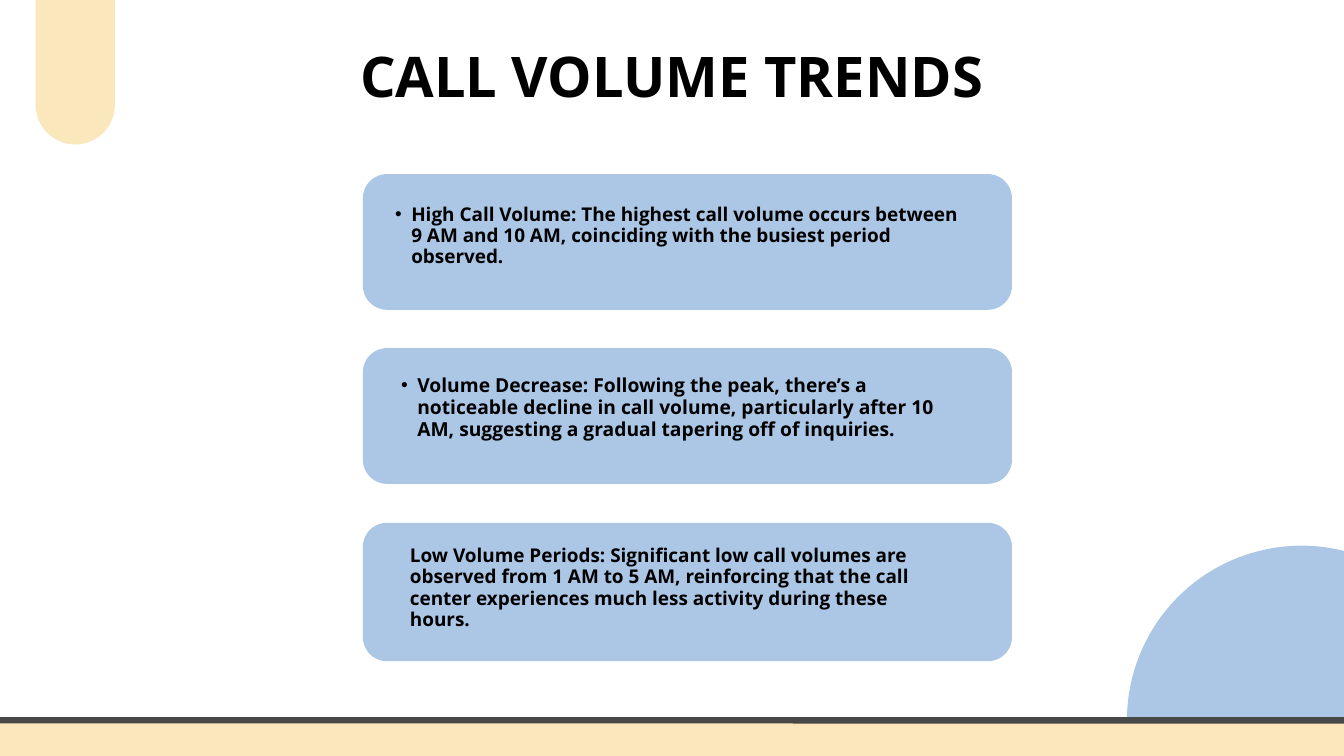
from pptx import Presentation
from pptx.dml.color import RGBColor
from pptx.enum.shapes import MSO_SHAPE
from pptx.enum.text import MSO_AUTO_SIZE, PP_ALIGN
from pptx.util import Inches, Pt
from lxml.etree import SubElement
from pptx.oxml.ns import qn

FONT = "Open Sans"
COLORS = {"blue": "ACC7E6", "cream": "FAE7BC", "line": "494848", "text": "000000"}

TITLE = "CALL VOLUME TRENDS"
# Each card: top, height, text box, size, line spacing, bullet indent, text
CARDS = [
    (2.59, 2.02, (5.64, 3.03, 8.71, 1.26), 20.3, 22.9, 0.48,
     "High Call Volume: The highest call volume occurs between 9 AM and 10 AM, "
     "coinciding with the busiest period observed."),
    (5.18, 2.02, (5.72, 5.58, 8.56, 1.29), 20.6, 23.3, 0.49,
     "Volume Decrease: Following the peak, there’s a noticeable decline in call volume, "
     "particularly after 10 AM, suggesting a gradual tapering off of inquiries."),
    (7.78, 2.06, (6.1, 8.11, 7.8, 1.26), 20.3, 22.9, 0,
     "Low Volume Periods: Significant low call volumes are observed from 1 AM to 5 AM, "
     "reinforcing that the call center experiences much less activity during these hours."),
]
CARD_X, CARD_W, CARD_R = 5.4, 9.66, 0.36

deck = Presentation()
deck.slide_width, deck.slide_height = Inches(20), Inches(11.25)
slide = deck.slides.add_slide(deck.slide_layouts[6])


def color(name):
    return RGBColor.from_string(COLORS[name])


def add_form(kind, box, fill, radius=None):
    form = slide.shapes.add_shape(kind, *map(Inches, box))
    form.shadow.inherit = False
    form.fill.solid()
    form.fill.fore_color.rgb = color(fill)
    form.line.fill.background()
    if radius is not None:
        form.adjustments[0] = radius / min(box[2:])
    return form


def add_text(box, text, size, space, indent=0, align=PP_ALIGN.LEFT):
    frame = slide.shapes.add_textbox(*map(Inches, box)).text_frame
    frame.word_wrap = True
    frame.auto_size = MSO_AUTO_SIZE.SHAPE_TO_FIT_TEXT
    frame.margin_left = frame.margin_right = 0
    frame.margin_top = frame.margin_bottom = 0
    para = frame.paragraphs[0]
    para.alignment = align
    para.line_spacing = Pt(space)
    if indent:
        para.level = 1
        props = para._p.get_or_add_pPr()
        props.set("marL", str(Inches(indent)))
        props.set("indent", str(Inches(-0.24)))
        SubElement(props, qn("a:buFont"), typeface="Arial")
        SubElement(props, qn("a:buChar"), char="•")
    run = para.add_run()
    run.text = text
    font = run.font
    font.name, font.size, font.bold = FONT, Pt(size), True
    font.color.rgb = color("text")


# Corner circle
add_form(MSO_SHAPE.OVAL, (16.77, 8.12, 5.2, 5.2), "blue")

# Cards
for top, high, *_ in CARDS:
    add_form(MSO_SHAPE.ROUNDED_RECTANGLE, (CARD_X, top, CARD_W, high), "blue", CARD_R)

# Title and card text
add_text((5.3, 0.68, 9.39, 0.94), TITLE, 60, 67.8, align=PP_ALIGN.CENTER)
for _, _, box, size, space, indent, text in CARDS:
    add_text(box, text, size, space, indent)

# Top tab and footer band
add_form(MSO_SHAPE.ROUNDED_RECTANGLE, (0.53, -1.08, 1.18, 3.23), "cream", 0.59)
band = add_form(MSO_SHAPE.ROUNDED_RECTANGLE, (-0.58, 10.72, 21.16, 0.9), "cream", 0.09)
band.line.color.rgb = color("line")
band.line.width = Pt(6.75)

deck.save("out.pptx")
